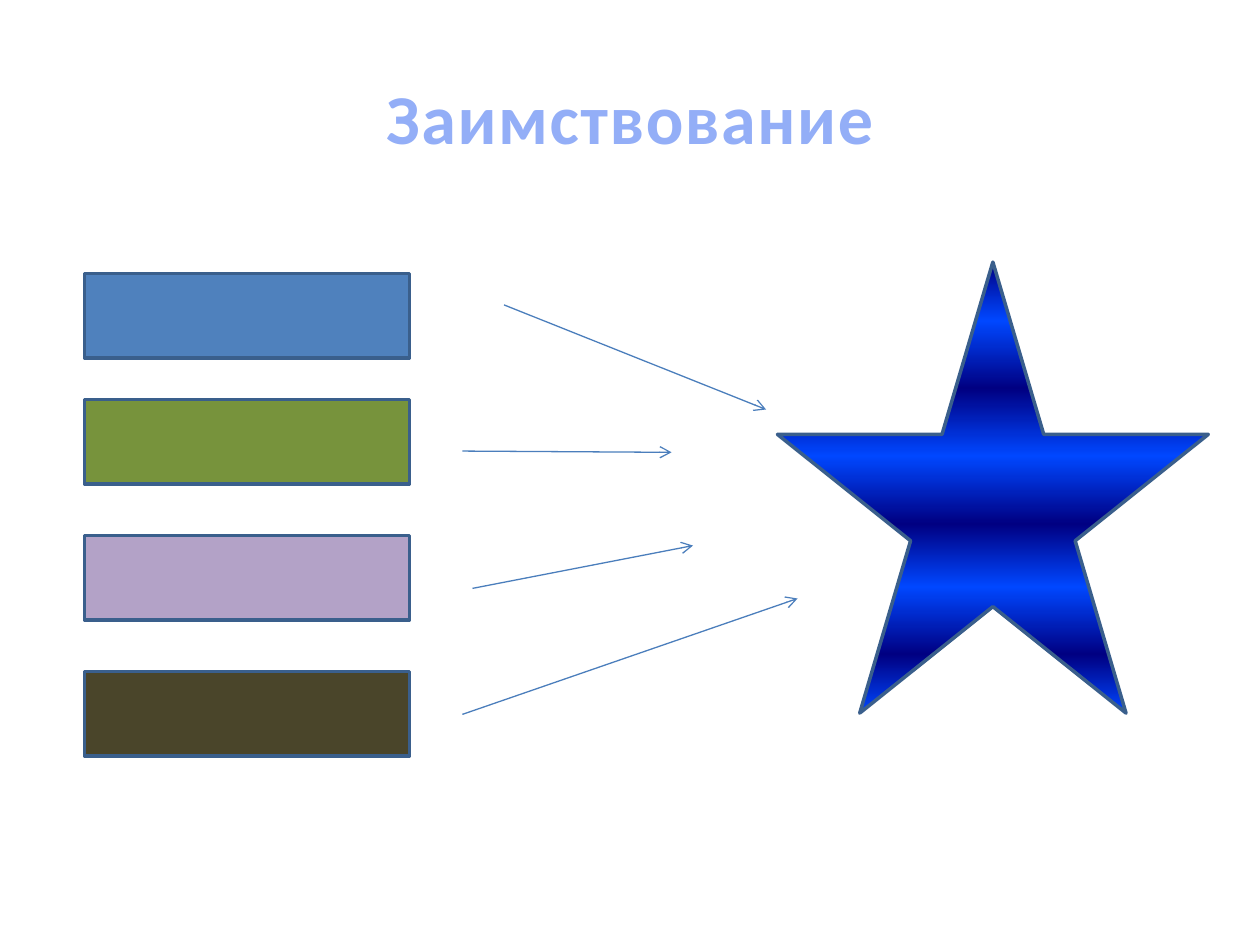
from lxml.etree import SubElement
from pptx import Presentation
from pptx.dml.color import RGBColor
from pptx.enum.shapes import MSO_CONNECTOR, MSO_SHAPE
from pptx.enum.text import MSO_ANCHOR, PP_ALIGN
from pptx.oxml.ns import qn
from pptx.util import Inches, Pt

COLORS = {
    "title": "0D7BFF", "outline": "93AEF7",
    "blue": "4F81BD", "green": "77933C", "lilac": "B3A2C7", "brown": "4A452A",
    "border": "3A5F8C", "arrow": "4B7EBC",
    "navy": "000082", "bright": "0047FF",
}


def color(name):
    return RGBColor.from_string(COLORS[name])


def add_block(kind, *box):
    """Add a bordered shape without shadow; box is in inches."""
    shape = slide.shapes.add_shape(kind, *map(Inches, box))
    shape.shadow.inherit = False
    shape.line.color.rgb = color("border")
    shape.line.width = Pt(2)
    return shape


prs = Presentation()
prs.slide_width, prs.slide_height = Inches(10), Inches(7.5)
slide = prs.slides.add_slide(prs.slide_layouts[5])

# Title: nearly clear letters with a pale outline
title = slide.shapes.title
title.left, title.top = Inches(0.5), Inches(0.3)
title.width, title.height = Inches(9), Inches(1.25)
frame = title.text_frame
frame.text = "Заимствование"
frame.vertical_anchor = MSO_ANCHOR.MIDDLE
para = frame.paragraphs[0]
para.alignment = PP_ALIGN.CENTER
font = para.runs[0].font
font.name, font.size, font.bold = "Calibri", Pt(40), True
font.color.rgb = color("title")
props = para.runs[0]._r.get_or_add_rPr()
props.set("spc", "100")
SubElement(props.find(qn("a:solidFill"))[0], qn("a:alpha"), val="6000")
edge = SubElement(props, qn("a:ln"), w=str(Pt(1.42)))
SubElement(SubElement(edge, qn("a:solidFill")), qn("a:srgbClr"), val=COLORS["outline"])
props.insert(0, edge)

# Source bars
for name, top in (("blue", 2.17), ("green", 3.17), ("lilac", 4.25), ("brown", 5.33)):
    bar = add_block(MSO_SHAPE.RECTANGLE, 0.67, top, 2.58, 0.67)
    bar.fill.solid()
    bar.fill.fore_color.rgb = color(name)

# Arrows from the bars to the star
for ends in (
    (4, 2.42, 6.08, 3.25),
    (3.67, 3.58, 5.33, 3.59),
    (3.75, 4.67, 5.5, 4.33),
    (3.67, 5.67, 6.33, 4.75),
):
    arrow = slide.shapes.add_connector(MSO_CONNECTOR.STRAIGHT, *map(Inches, ends))
    arrow.line.color.rgb = color("arrow")
    arrow.line.width = Pt(0.75)
    SubElement(arrow.line._get_or_add_ln(), qn("a:tailEnd"), type="arrow")
    SubElement(arrow._element.spPr, qn("a:effectLst"))

# Star with alternating bands from top to bottom
star = add_block(MSO_SHAPE.STAR_5_POINT, 6.17, 2.08, 3.42, 3.58)
star.fill.gradient()
star.fill.gradient_angle = 270
stops = star._element.spPr.find(qn("a:gradFill")).find(qn("a:gsLst"))
for stop in list(stops):
    stops.remove(stop)
for i, pos in enumerate((0, 13, 28, 43, 58, 72, 87, 100)):
    stop = SubElement(stops, qn("a:gs"), pos=str(pos * 1000))
    band = "bright" if i % 2 else "navy"
    SubElement(stop, qn("a:srgbClr"), val=COLORS[band])

prs.save("out.pptx")
